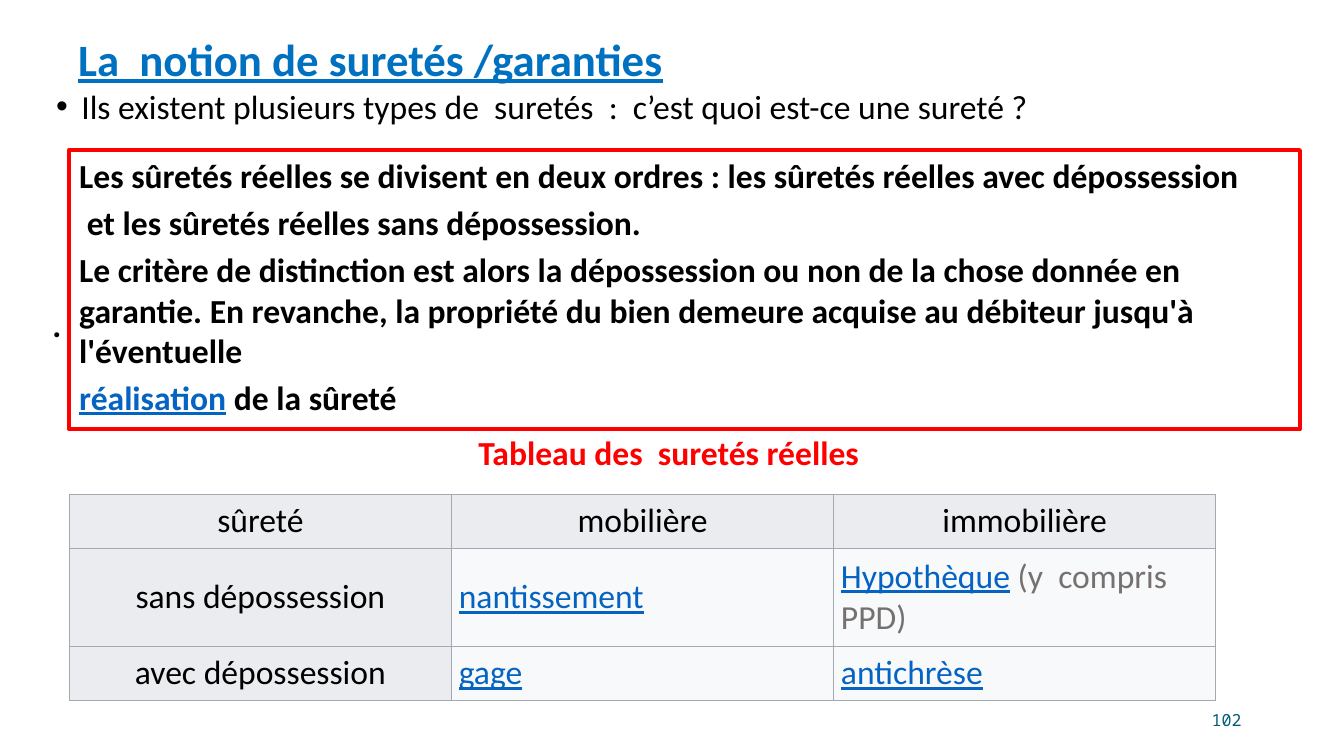
from lxml import etree
from pptx import Presentation
from pptx.dml.color import RGBColor
from pptx.enum.shapes import MSO_SHAPE
from pptx.enum.text import MSO_ANCHOR, PP_ALIGN
from pptx.oxml.ns import qn
from pptx.util import Pt

PX = 9525
BLACK = RGBColor(0, 0, 0)
RED = RGBColor(0xFF, 0, 0)
BLUE = RGBColor(0, 0x70, 0xC0)
LINK = RGBColor(0x05, 0x63, 0xC1)
GREY = RGBColor(0x76, 0x71, 0x71)
TEAL = RGBColor(0x04, 0x5C, 0x75)
HEAD = RGBColor(0xEA, 0xEC, 0xF0)
PALE = RGBColor(0xF8, 0xF9, 0xFA)
EDGE = RGBColor(0xA2, 0xA9, 0xB1)

RULES = [
    "Les sûretés réelles se divisent en deux ordres : les sûretés réelles avec dépossession",
    " et les sûretés réelles sans dépossession.",
    "Le critère de distinction est alors la dépossession ou non de la chose donnée en "
    "garantie. En revanche, la propriété du bien demeure acquise au débiteur jusqu'à "
    "l'éventuelle",
]
ROWS = [
    ["sûreté", "mobilière", "immobilière"],
    ["sans dépossession", "nantissement", "Hypothèque"],
    ["avec dépossession", "gage", "antichrèse"],
]
HEIGHTS = [51, 94, 51]


def px(*sizes):
    return [size * PX for size in sizes]


def style(run, color=BLACK, size=24, bold=False, line=False, face="Calibri"):
    font = run.font
    font.name, font.size, font.bold = face, Pt(size), bold
    font.underline = line
    font.color.rgb = color


def add_text(slide, box, text, align=PP_ALIGN.LEFT, anchor=MSO_ANCHOR.TOP,
             wrap=True, space=1.0, **look):
    frame = slide.shapes.add_textbox(*px(*box)).text_frame
    frame.word_wrap = wrap
    frame.vertical_anchor = anchor
    frame.text = text
    para = frame.paragraphs[0]
    para.alignment = align
    para.line_spacing = space
    style(para.runs[0], **look)
    return frame


def add_bullet(para):
    props = para._p.get_or_add_pPr()
    props.set("marL", str(24 * PX))
    props.set("indent", str(-24 * PX))
    etree.SubElement(props, qn("a:buFont"), typeface="Arial")
    etree.SubElement(props, qn("a:buChar"), char="•")


def add_rules(slide):
    """Draw the red frame with the rules on securities."""
    shape = slide.shapes.add_shape(MSO_SHAPE.RECTANGLE, *px(66, 143, 1172, 266))
    shape.shadow.inherit = False
    shape.fill.background()
    shape.line.color.rgb = RED
    shape.line.width = Pt(3)
    frame = shape.text_frame
    frame.word_wrap = True
    frame.vertical_anchor = MSO_ANCHOR.TOP
    frame.text = "\n".join(RULES + ["réalisation"])
    for row, para in enumerate(frame.paragraphs):
        para.alignment = PP_ALIGN.LEFT
        para.space_before = Pt(4.8 if row else 0)
        style(para.runs[0], bold=True)
    last = frame.paragraphs[-1]
    style(last.runs[0], LINK, bold=True, line=True)
    tail = last.add_run()
    tail.text = " de la sûreté"
    style(tail, bold=True)


def add_edges(cell):
    props = cell._tc.get_or_add_tcPr()
    for spot, side in enumerate(("lnL", "lnR", "lnT", "lnB")):
        line = etree.Element(qn(f"a:{side}"), w=str(Pt(0.75)))
        fill = etree.SubElement(line, qn("a:solidFill"))
        etree.SubElement(fill, qn("a:srgbClr"), val=str(EDGE))
        props.insert(spot, line)


def fill_cell(cell, text, head):
    cell.fill.solid()
    cell.fill.fore_color.rgb = HEAD if head else PALE
    cell.vertical_anchor = MSO_ANCHOR.MIDDLE
    cell.margin_left = cell.margin_right = 7 * PX
    cell.margin_top = cell.margin_bottom = 4 * PX
    cell.text_frame.text = text
    para = cell.text_frame.paragraphs[0]
    para.alignment = PP_ALIGN.CENTER if head else PP_ALIGN.LEFT
    style(para.runs[0], BLACK if head else LINK, line=not head)
    add_edges(cell)


def add_grid(slide):
    frame = slide.shapes.add_table(3, 3, *px(66, 471, 3 * 364, sum(HEIGHTS)))
    table = frame.table
    for col in table.columns:
        col.width = 364 * PX
    for r, (row, high) in enumerate(zip(ROWS, HEIGHTS)):
        table.rows[r].height = high * PX
        for c, text in enumerate(row):
            fill_cell(table.cell(r, c), text, r == 0 or c == 0)
    note = table.cell(1, 2).text_frame.paragraphs[0].add_run()
    note.text = " (y  compris PPD)"
    style(note, GREY)


def main():
    deck = Presentation()
    deck.slide_width, deck.slide_height = px(1280, 720)
    slide = deck.slides.add_slide(deck.slide_layouts[6])
    add_text(slide, (65, 19, 864, 80), "La  notion de suretés /garanties",
             anchor=MSO_ANCHOR.MIDDLE, space=0.9, color=BLUE, size=32,
             bold=True, line=True)
    add_text(slide, (904, 667, 288, 38), "102", align=PP_ALIGN.RIGHT,
             anchor=MSO_ANCHOR.MIDDLE, color=TEAL, size=11.9,
             face="Noto Sans Mono")
    intro = add_text(
        slide, (44, 81, 1193, 45), space=0.9,
        text="Ils existent plusieurs types de  suretés  :  c’est quoi est-ce une sureté ?")
    add_bullet(intro.paragraphs[0])
    add_text(slide, (44, 411, 1193, 45), "Tableau des  suretés réelles ",
             align=PP_ALIGN.CENTER, space=0.9, color=RED, bold=True)
    add_grid(slide)
    dot = add_text(slide, (43, 286, 22, 45), ".", anchor=MSO_ANCHOR.MIDDLE,
                   wrap=False, bold=True)
    dot.margin_left = dot.margin_right = 7 * PX
    dot.margin_top = dot.margin_bottom = 4 * PX
    add_rules(slide)
    deck.save("out.pptx")


if __name__ == "__main__":
    main()
